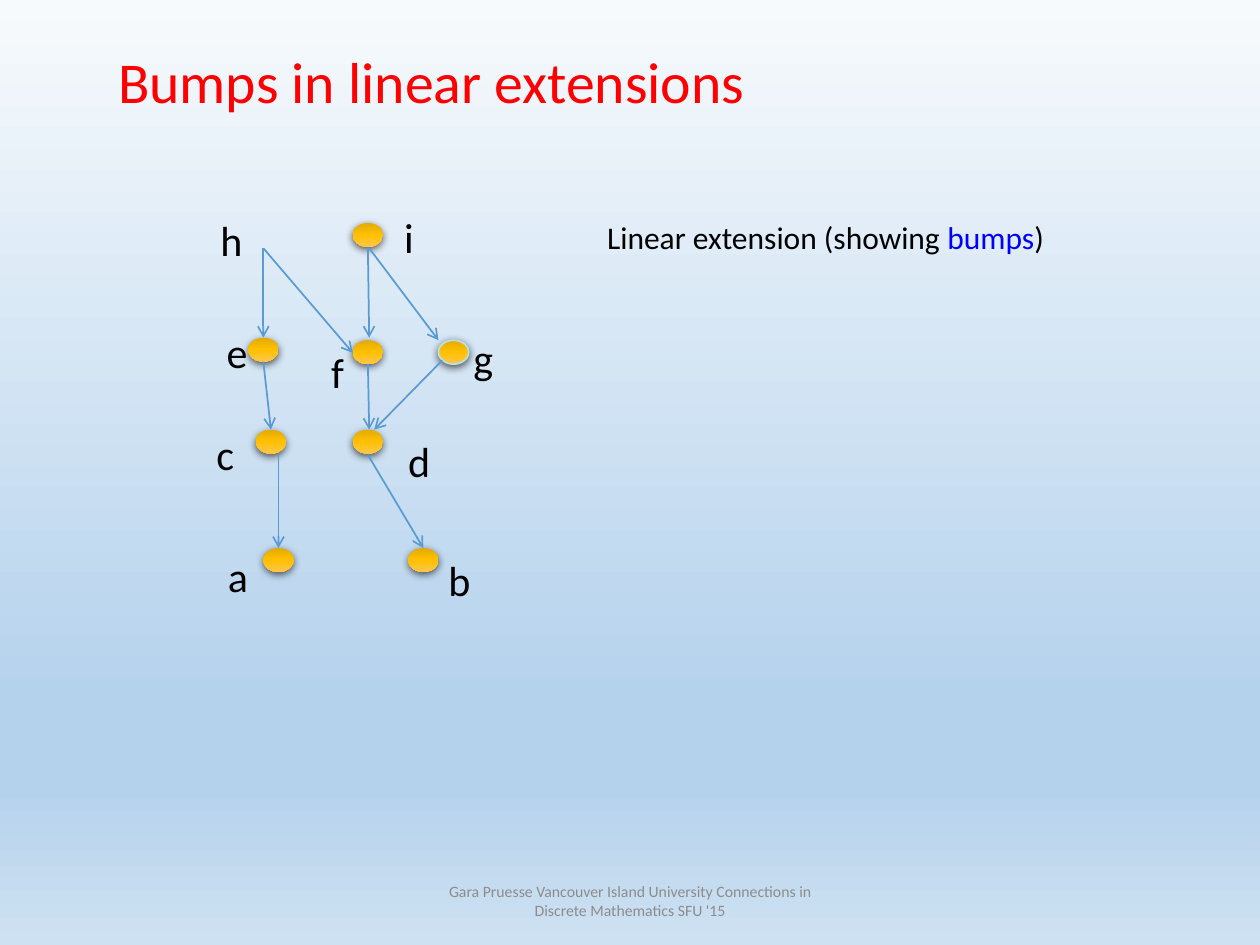
"""Build the slide on bumps in linear extensions of a poset."""
from lxml import etree
from pptx import Presentation
from pptx.dml.color import RGBColor
from pptx.enum.shapes import MSO_CONNECTOR, MSO_SHAPE
from pptx.enum.text import MSO_ANCHOR, PP_ALIGN
from pptx.oxml import parse_xml
from pptx.oxml.ns import nsdecls, qn
from pptx.util import Inches, Pt

OVAL = MSO_SHAPE.OVAL
STRAIGHT = MSO_CONNECTOR.STRAIGHT
TOP, MIDDLE = MSO_ANCHOR.TOP, MSO_ANCHOR.MIDDLE
LEFT, CENTER = PP_ALIGN.LEFT, PP_ALIGN.CENTER

FONT = "Calibri"
BLACK, RED, BLUE, GREY = "000000", "FF0000", "0000FF", "8C8C8C"
EDGE_COLOR, RING_COLOR = "5B9BD5", "BBE0E3"
SKY = [(0, "F7FAFD"), (74, "B5D2EC"), (83, "B5D2EC"), (100, "CEE1F2")]
GOLD = [(0, "E3AB00"), (50, "FFC000"), (100, "FFC64B")]

TITLE = [("Bumps in linear extensions", RED)]
FOOTER = [("Gara Pruesse Vancouver Island University Connections in "
           "Discrete Mathematics SFU '15", GREY)]
CAPTION = [("Linear extension (showing ", BLACK), ("bumps", BLUE), (")", BLACK)]

NODE_SIZE = (0.24, 0.19)
NODES = {
    "i": (2.8, 1.77), "b": (3.24, 4.35), "f": (2.8, 2.7), "e": (1.97, 2.68),
    "d": (2.8, 3.41), "g": (3.48, 2.7), "a": (2.09, 4.35), "c": (2.03, 3.41),
}
RINGED = "g"
EDGES = [
    ((2.09, 1.97), (2.09, 2.68)),
    ((2.92, 1.97), (2.93, 2.68)),
    ((2.93, 1.97), (3.48, 2.7)),
    ((2.09, 1.97), (2.8, 2.8)),
    ((2.92, 2.89), (2.93, 3.41)),
    ((2.09, 2.87), (2.15, 3.41)),
    ((2.21, 3.61), (2.21, 4.35)),
    ((3.51, 2.86), (2.97, 3.41)),
    ((2.92, 3.61), (3.36, 4.35)),
]
LABELS = {
    "a": (1.71, 4.32, 0.36), "b": (3.46, 4.35, 0.38), "c": (1.62, 3.35, 0.34),
    "d": (3.14, 3.41, 0.38), "e": (1.7, 2.54, 0.37), "f": (2.53, 2.7, 0.3),
    "g": (3.66, 2.59, 0.36), "h": (1.65, 1.65, 0.38), "i": (3.11, 1.63, 0.28),
}
LABEL_HEIGHT = 0.5


def rgb(color):
    return RGBColor.from_string(color)


def set_gradient(fill, stops):
    fill.gradient()
    fill.gradient_angle = 270
    stop_list = fill.gradient_stops[0]._gs.getparent()
    for old_stop in list(stop_list):
        stop_list.remove(old_stop)
    for position, color in stops:
        stop = etree.SubElement(stop_list, qn("a:gs"), pos=str(position * 1000))
        etree.SubElement(stop, qn("a:srgbClr"), val=color)


def add_text(slide, box, runs, size, wrap=False, anchor=TOP, align=LEFT, spacing=1.0):
    frame = slide.shapes.add_textbox(*map(Inches, box)).text_frame
    frame.word_wrap = wrap
    frame.vertical_anchor = anchor
    paragraph = frame.paragraphs[0]
    paragraph.alignment = align
    paragraph.line_spacing = spacing
    paragraph.font.name = FONT
    paragraph.font.size = Pt(size)
    for text, color in runs:
        run = paragraph.add_run()
        run.text = text
        run.font.color.rgb = rgb(color)


def add_node(slide, name, corner):
    node = slide.shapes.add_shape(OVAL, *map(Inches, corner + NODE_SIZE))
    set_gradient(node.fill, GOLD)
    if name == RINGED:
        node.line.color.rgb = rgb(RING_COLOR)
        node.line.width = Pt(1)
    else:
        node.line.fill.background()
    node._element.spPr.append(parse_xml(
        f'<a:effectLst {nsdecls("a")}>'
        f'<a:outerShdw blurRad="{Pt(4.5)}" dist="{Pt(1.5)}" dir="5400000" rotWithShape="0">'
        f'<a:srgbClr val="{BLACK}"><a:alpha val="63000"/></a:srgbClr>'
        '</a:outerShdw></a:effectLst>'))


def add_edge(slide, start, end):
    edge = slide.shapes.add_connector(STRAIGHT, *map(Inches, start + end))
    edge.line.color.rgb = rgb(EDGE_COLOR)
    edge.line.width = Pt(1)
    etree.SubElement(edge.line._get_or_add_ln(), qn("a:tailEnd"), type="arrow")
    etree.SubElement(edge._element.spPr, qn("a:effectLst"))


def main():
    deck = Presentation()
    deck.slide_width, deck.slide_height = Inches(10), Inches(7.5)
    slide = deck.slides.add_slide(deck.slide_layouts[6])
    set_gradient(slide.background.fill, SKY)

    add_text(slide, (0.84, 0.29, 9, 0.76), TITLE, 33, True, MIDDLE, spacing=0.9)
    add_text(slide, (3.31, 6.95, 3.38, 0.4), FOOTER, 9, True, MIDDLE, CENTER)
    for name, corner in NODES.items():
        add_node(slide, name, corner)
    for start, end in EDGES:
        add_edge(slide, start, end)
    for name, (left, top, width) in LABELS.items():
        add_text(slide, (left, top, width, LABEL_HEIGHT), [(name, BLACK)], 24)
    add_text(slide, (4.72, 1.68, 3.71, 0.4), CAPTION, 18)

    deck.save("out.pptx")


if __name__ == "__main__":
    main()
